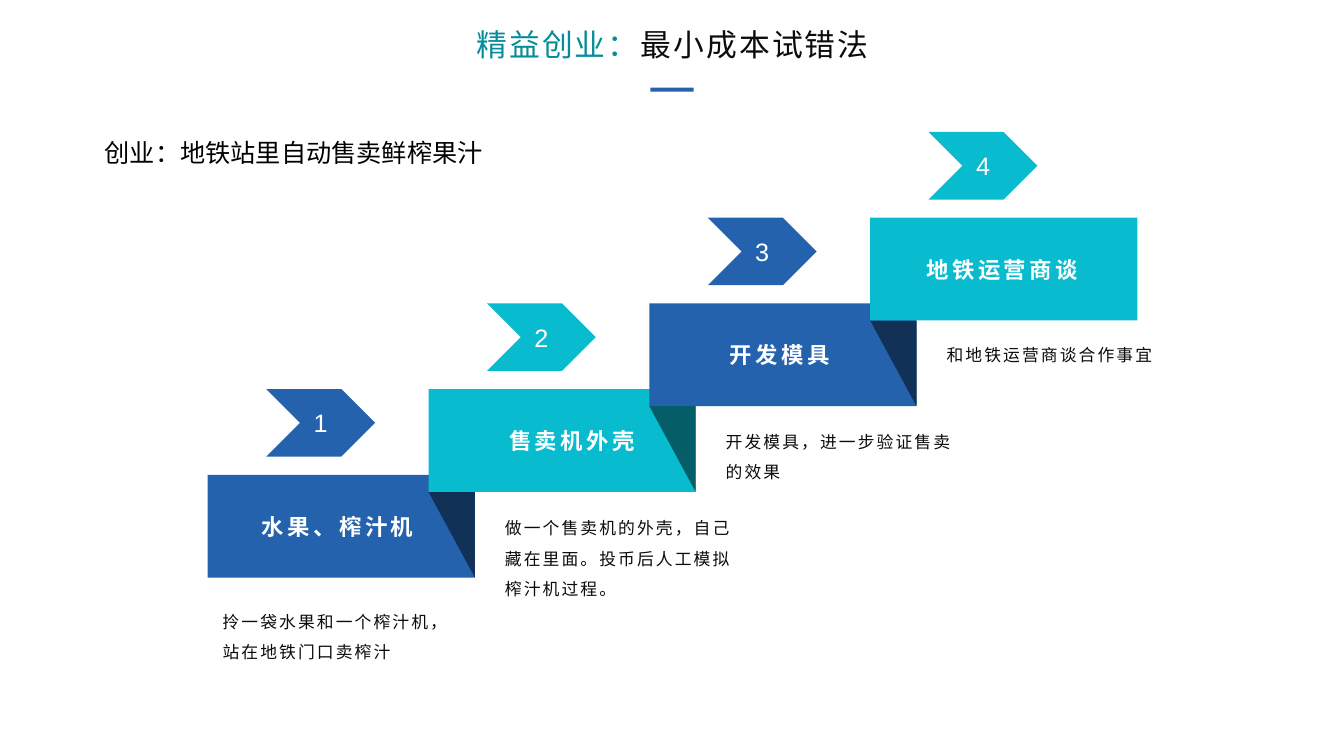
from dataclasses import dataclass

from pptx import Presentation
from pptx.dml.color import RGBColor
from pptx.enum import shapes, text
from pptx.util import Inches, Pt


@dataclass(frozen=True)
class Theme:
    font: str = "Arial"
    blue: str = "2462AE"
    blue_fold: str = "123157"
    cyan: str = "08BBCE"
    cyan_fold: str = "045D67"
    teal: str = "068C9A"
    ink: str = "0C0C0C"
    black: str = "000000"
    white: str = "FFFFFF"
    title_size: int = 22
    heading_size: int = 18
    label_size: int = 16
    note_size: int = 12


@dataclass(frozen=True)
class Box:
    left: float
    top: float
    width: float
    height: float

    def lengths(self):
        return [Inches(value) for value in (self.left, self.top, self.width, self.height)]


@dataclass(frozen=True)
class Step:
    label: str
    label_offset: float
    label_width: float
    note: str
    note_left: float
    note_top: float
    note_height: float


THEME = Theme()
FIRST_LEFT, FIRST_TOP = 2.06, 4.71
STEP_X, STEP_Y = 2.19, 0.85
BLOCK_WIDTH, BLOCK_HEIGHT = 2.65, 1.02

STEPS = [
    Step("水果、榨汁机", 0.44, 1.75, "拎一袋水果和一个榨汁机，站在地铁门口卖榨汁", 0.05, 1.21, 0.71),
    Step("售卖机外壳", 0.7, 1.49, "做一个售卖机的外壳，自己藏在里面。投币后人工模拟榨汁机过程。", 0.66, 1.13, 1.01),
    Step("开发模具", 0.7, 1.23, "开发模具，进一步验证售卖的效果", 0.66, 1.12, 0.71),
    Step("地铁运营商谈", 0.46, 1.75, "和地铁运营商谈合作事宜", 0.66, 1.11, 0.4),
]


def write_text(shape, *runs: tuple[str, str], size: int, bold: bool = False,
               tracking: float = 0, line_spacing: float = 1.0, wrap: bool = True,
               align=text.PP_ALIGN.LEFT, anchor=text.MSO_ANCHOR.TOP) -> None:
    """Fill a shape with one paragraph of (wording, colour) runs."""
    frame = shape.text_frame
    frame.auto_size = text.MSO_AUTO_SIZE.NONE
    frame.word_wrap = wrap
    frame.vertical_anchor = anchor
    paragraph = frame.paragraphs[0]
    paragraph.alignment = align
    paragraph.line_spacing = line_spacing
    for wording, colour in runs:
        run = paragraph.add_run()
        run.text = wording
        run.font.name = THEME.font
        run.font.size = Pt(size)
        run.font.bold = bold
        run.font.color.rgb = RGBColor.from_string(colour)
        if tracking:
            run.font._element.set("spc", str(int(tracking * 100)))


def add_filled(slide, kind, box: Box, colour: str):
    shape = slide.shapes.add_shape(kind, *box.lengths())
    shape.shadow.inherit = False
    shape.fill.solid()
    shape.fill.fore_color.rgb = RGBColor.from_string(colour)
    shape.line.fill.background()
    return shape


def add_label(slide, box: Box, wording: str, colour: str, **text_format):
    write_text(slide.shapes.add_textbox(*box.lengths()), (wording, colour), **text_format)


def add_title(slide) -> None:
    title = slide.shapes.title
    title.left, title.top, title.width, title.height = Box(1.75, 0.2, 9.84, 0.47).lengths()
    write_text(title, ("精益创业：", THEME.teal), ("最小成本试错法", THEME.ink),
               size=THEME.title_size, tracking=1.5,
               align=text.PP_ALIGN.CENTER, anchor=text.MSO_ANCHOR.MIDDLE)
    add_filled(slide, shapes.MSO_SHAPE.RECTANGLE, Box(6.45, 0.87, 0.43, 0.04), THEME.blue)


def add_step(slide, index: int, step: Step) -> None:
    left, top = FIRST_LEFT + index * STEP_X, FIRST_TOP - index * STEP_Y
    colour, fold_colour = ((THEME.blue, THEME.blue_fold),
                           (THEME.cyan, THEME.cyan_fold))[index % 2]
    add_filled(slide, shapes.MSO_SHAPE.RECTANGLE,
               Box(left, top, BLOCK_WIDTH, BLOCK_HEIGHT), colour)
    if index < len(STEPS) - 1:
        fold_box = Box(left + STEP_X, top - STEP_Y + BLOCK_HEIGHT, BLOCK_WIDTH - STEP_X, STEP_Y)
        fold = add_filled(slide, shapes.MSO_SHAPE.RIGHT_TRIANGLE, fold_box, fold_colour)
        fold.rotation = 180
    chevron = add_filled(slide, shapes.MSO_SHAPE.CHEVRON,
                         Box(left + 0.58, top - STEP_Y, 1.08, 0.67), colour)
    write_text(chevron, (str(index + 1), THEME.white), size=THEME.heading_size,
               align=text.PP_ALIGN.CENTER, anchor=text.MSO_ANCHOR.MIDDLE)
    add_label(slide, Box(left + step.label_offset, top + 0.33, step.label_width, 0.37),
              step.label, THEME.white, size=THEME.label_size, bold=True,
              tracking=2.5, wrap=False)
    add_label(slide, Box(left + step.note_left, top + step.note_top, 2.56, step.note_height),
              step.note, THEME.ink, size=THEME.note_size, tracking=1.5, line_spacing=1.5)


def main() -> None:
    presentation = Presentation()
    presentation.slide_width, presentation.slide_height = Inches(13.33), Inches(7.5)
    slide = presentation.slides.add_slide(presentation.slide_layouts.get_by_name("Title Only"))
    add_title(slide)
    add_label(slide, Box(0.94, 1.31, 4.97, 0.4), "创业：地铁站里自动售卖鲜榨果汁",
              THEME.black, size=THEME.heading_size)
    for index, step in enumerate(STEPS):
        add_step(slide, index, step)
    presentation.save("out.pptx")


if __name__ == "__main__":
    main()
